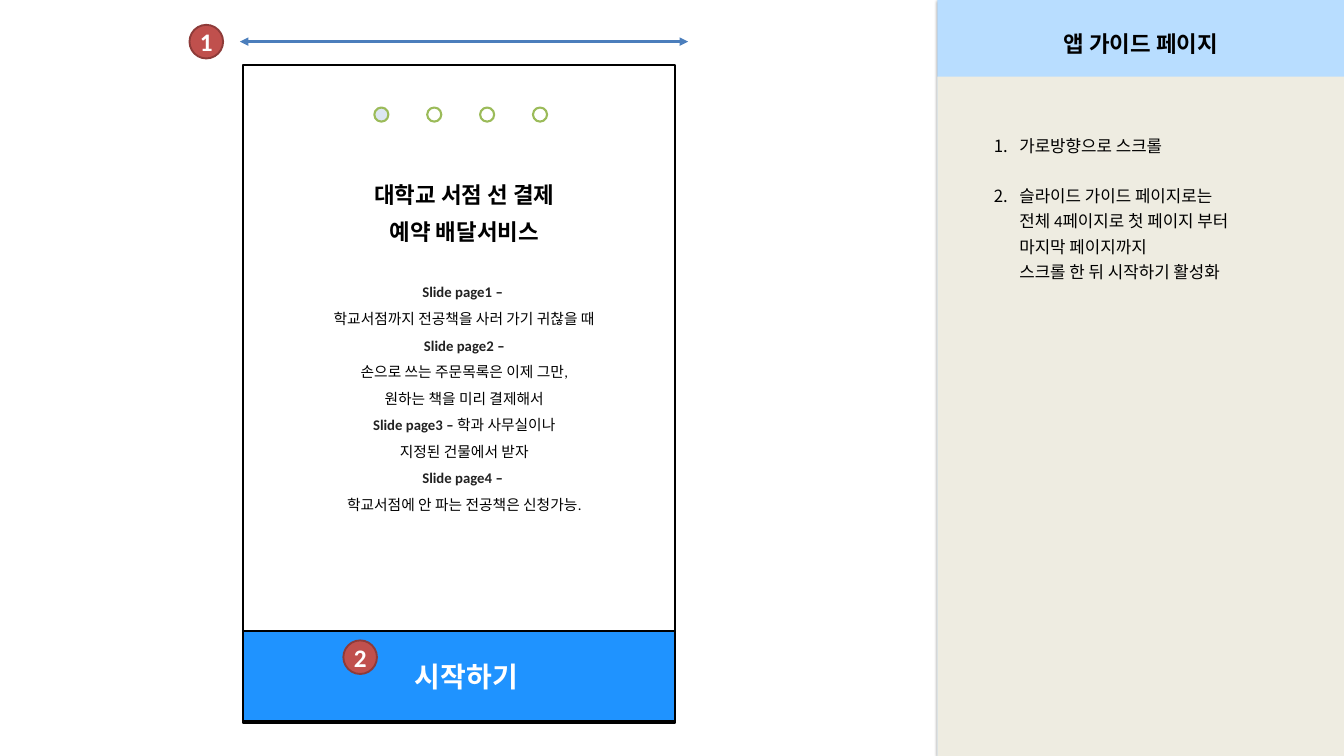
from dataclasses import dataclass

from lxml import etree
from pptx import Presentation
from pptx.dml.color import RGBColor
from pptx.enum.shapes import MSO_CONNECTOR, MSO_SHAPE
from pptx.enum.text import MSO_ANCHOR, PP_ALIGN
from pptx.oxml import parse_xml
from pptx.oxml.ns import nsdecls, qn
from pptx.util import Inches, Pt


@dataclass(frozen=True)
class Theme:
    font: str = "Calibri"
    ink: str = "000000"
    label: str = "222222"
    white: str = "FFFFFF"
    header: str = "B8DDFF"
    panel: str = "EEECE1"
    button: str = "1F93FF"
    dot: str = "9BBB59"
    dot_active: str = "DCE6F2"
    arrow: str = "4B7EBC"
    badge: str = "C0504D"
    badge_line: str = "8E3B39"
    title_size: float = 24
    note_size: float = 18
    copy_size: float = 15.8
    button_size: float = 30
    badge_size: float = 27


T = Theme()
INSETS = (0.15, 0.07, 0.15, 0.07)
NOTES = [
    ["가로방향으로 스크롤"],
    ["슬라이드 가이드 페이지로는", "전체 4페이지로 첫 페이지 부터",
     "마지막 페이지까지", "스크롤 한 뒤 시작하기 활성화"],
]
TITLE = ["대학교 서점 선 결제", "예약 배달서비스"]
# Each line of the guide copy: (page label, dash, sentence)
COPY = [
    ("Slide page1", " – ", ""),
    ("", "", "학교서점까지 전공책을 사러 가기 귀찮을 때"),
    ("Slide page2", " –", ""),
    ("", "", "손으로 쓰는 주문목록은 이제 그만,"),
    ("", "", "원하는 책을 미리 결제해서"),
    ("Slide page3", " – ", "학과 사무실이나"),
    ("", "", "지정된 건물에서 받자"),
    ("Slide page4", " – ", ""),
    ("", "", "학교서점에 안 파는 전공책은 신청가능."),
]


def rgb(color):
    return RGBColor.from_string(color)


def add_shape(shapes, kind, box, fill, line=None, width=2):
    sp = shapes.add_shape(kind, *map(Inches, box))
    sp.shadow.inherit = False
    sp.fill.solid()
    sp.fill.fore_color.rgb = rgb(fill)
    if line:
        sp.line.color.rgb = rgb(line)
        sp.line.width = Pt(width)
    else:
        sp.line.fill.background()
    return sp


def set_frame(sp, insets, anchor=MSO_ANCHOR.TOP):
    tf = sp.text_frame
    tf.word_wrap = True
    tf.vertical_anchor = anchor
    (tf.margin_left, tf.margin_top,
     tf.margin_right, tf.margin_bottom) = map(Inches, insets)
    return tf


def add_run(p, text, size, color=T.ink, bold=False):
    r = p.add_run()
    r.text = text
    r.font.name = T.font
    r.font.size = Pt(size)
    r.font.bold = bold
    r.font.color.rgb = rgb(color)


def next_paragraph(tf, first, align=PP_ALIGN.CENTER):
    p = tf.paragraphs[0] if first else tf.add_paragraph()
    p.alignment = align
    return p


def add_badge(shapes, number, left, top):
    sp = add_shape(shapes, MSO_SHAPE.OVAL, (left, top, 0.5, 0.5), T.badge, T.badge_line)
    tf = set_frame(sp, (0, 0, 0, 0), MSO_ANCHOR.MIDDLE)
    add_run(next_paragraph(tf, True), str(number), T.badge_size, T.white, True)


def add_scroll_arrow(shapes, left, right, y):
    line = shapes.add_connector(MSO_CONNECTOR.STRAIGHT, *map(Inches, (left, y, right, y)))
    line.line.color.rgb = rgb(T.arrow)
    line.line.width = Pt(3)
    ln = line.line._get_or_add_ln()
    for end in ("a:headEnd", "a:tailEnd"):
        etree.SubElement(ln, qn(end), type="triangle")
    etree.SubElement(line._element.spPr, qn("a:effectLst"))


def add_guide_panel(s, left, top, width, height):
    # Header, lying behind the notes, with a soft shadow
    header = add_shape(s.shapes, MSO_SHAPE.RECTANGLE, (left, top, width, height), T.header)
    header._element.spPr.find(qn("a:effectLst")).append(parse_xml(
        f'<a:outerShdw {nsdecls("a")} blurRad="{Pt(3.1)}" dist="{Pt(1.6)}" dir="5400000" '
        'rotWithShape="0"><a:srgbClr val="000000"><a:alpha val="38000"/></a:srgbClr>'
        '</a:outerShdw>'))
    p = next_paragraph(set_frame(header, (0.1, 0.05, 0.1, 0.05)), True)
    p.line_spacing = 2.0
    add_run(p, "앱 가이드 페이지", T.title_size, bold=True)

    # Numbered notes
    bar = 1.14
    body = add_shape(s.shapes, MSO_SHAPE.RECTANGLE,
                     (left, top + bar, width, height - bar), T.panel)
    tf = set_frame(body, (0.1, 0.8, 0.1, 0.05))
    for i, lines in enumerate(NOTES):
        p = next_paragraph(tf, i == 0, PP_ALIGN.LEFT)
        p.line_spacing = Pt(27)
        p.space_before = Pt(27 if i else 0)
        pPr = p._p.get_or_add_pPr()
        pPr.set("marL", str(Inches(1.12)))
        pPr.set("indent", str(Inches(-0.38)))
        etree.SubElement(pPr, qn("a:buFont"), typeface="+mj-lt")
        etree.SubElement(pPr, qn("a:buAutoNum"), type="arabicPeriod")
        for j, text in enumerate(lines):
            if j:
                p.add_line_break()
            add_run(p, text, T.note_size)


def add_phone(shapes, left, top, width, height):
    # Screen and start button
    add_shape(shapes, MSO_SHAPE.RECTANGLE, (left, top, width, height), T.white, T.ink)
    add_shape(shapes, MSO_SHAPE.RECTANGLE, (left, top + 8.42, width, 1.34), T.button, T.ink)

    # Title and copy
    box = shapes.add_textbox(*map(Inches, (left + 0.34, top + 1.11, 5.9, 7.41)))
    tf = set_frame(box, (0.15, 0.62, 0.15, 0.07))
    for i, text in enumerate(TITLE):
        p = next_paragraph(tf, i == 0)
        p.space_before = Pt(10 if i else 0)
        add_run(p, text, T.title_size, bold=True)
    p = next_paragraph(tf, False)
    p.line_spacing = 1.5
    p.space_before = Pt(32)
    for i, (label, dash, sentence) in enumerate(COPY):
        if i:
            p.add_line_break()
        if label:
            add_run(p, label, T.copy_size, T.label, True)
            add_run(p, dash, T.copy_size, bold=True)
        if sentence:
            add_run(p, sentence, T.copy_size)

    # Page dots
    for i in range(4):
        add_shape(shapes, MSO_SHAPE.OVAL, (left + 1.95 + i * 0.787, top + 0.63, 0.21, 0.21),
                  T.white if i else T.dot_active, T.dot, 2.25)

    # Button label
    box = shapes.add_textbox(*map(Inches, (left + 0.37, top + 8.72, 5.9, 0.75)))
    p = next_paragraph(set_frame(box, INSETS, MSO_ANCHOR.MIDDLE), True)
    add_run(p, "시작하기", T.button_size, T.white, True)


def main():
    prs = Presentation()
    prs.slide_width, prs.slide_height = Inches(20), Inches(11.25)
    s = prs.slides.add_slide(prs.slide_layouts[6])
    add_guide_panel(s, 13.95, 0, 6.05, 11.25)
    phone = s.shapes.add_group_shape().shapes
    add_phone(phone, 3.62, 0.97, 6.43, 9.79)
    add_scroll_arrow(phone, 3.57, 10.24, 0.62)
    add_badge(s.shapes, 2, 5.11, 9.53)
    add_badge(s.shapes, 1, 2.82, 0.37)
    prs.save("out.pptx")


if __name__ == "__main__":
    main()
